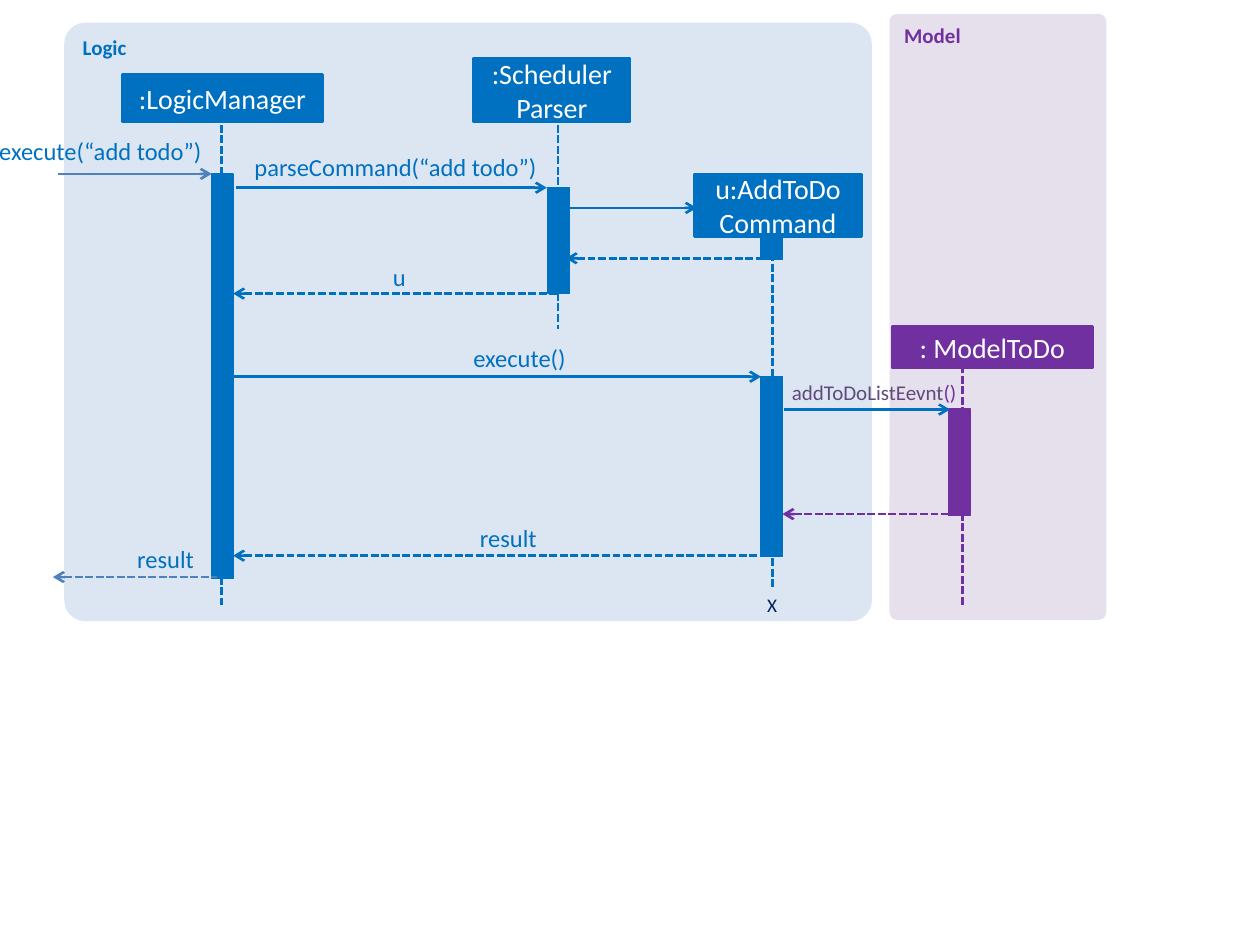
from lxml import etree
from pptx import Presentation
from pptx.dml.color import RGBColor
from pptx.enum import dml, shapes, text
from pptx.oxml import ns
from pptx.util import Inches, Pt

COLORS = {
    "logic": "0070C0", "logic_panel": "DCE6F2",
    "model": "7030A0", "model_panel": "E6E0EC",
    "caller": "4F81BD", "event": "604A7B", "end": "002060", "white": "FFFFFF",
}
BAR_WIDTH = 0.17

PANELS = [  # name, color, left, top, width, height
    ("Model", "model", 7.06, 0.11, 1.72, 4.81),
    ("Logic", "logic", 0.51, 0.18, 6.41, 4.75),
]
LIFELINES = [  # x, top, bottom, color
    (1.76, 0.99, 4.8, "logic"),
    (4.43, 0.99, 2.61, "logic"),
    (6.13, 1.76, 4.66, "logic"),
    (7.64, 2.9, 4.8, "model"),
]
ACTIVATIONS = [  # left, top, height, color
    (1.68, 1.38, 3.21, "logic"),
    (4.35, 1.49, 0.84, "logic"),
    (6.04, 1.76, 0.3, "logic"),
    (6.04, 2.99, 1.43, "logic"),
    (7.53, 3.24, 0.85, "model"),
]
CALLS = [  # left, right, y, color
    (0.46, 1.68, 1.38, "caller"),
    (1.87, 4.34, 1.49, "logic"),
    (4.52, 5.53, 1.65, "logic"),
    (1.85, 6.04, 2.99, "logic"),
    (6.22, 7.54, 3.25, "logic"),
]
REPLIES = [  # left, right, y, color
    (4.49, 6.13, 2.05, "logic"),
    (1.85, 4.42, 2.33, "logic"),
    (6.21, 7.62, 4.08, "model"),
    (1.85, 6.04, 4.41, "logic"),
    (0.42, 1.72, 4.58, "caller"),
]
OBJECTS = [  # name, color, left, top, width, height
    (":LogicManager", "logic", 0.97, 0.59, 1.59, 0.38),
    (":SchedulerParser", "logic", 3.76, 0.46, 1.24, 0.51),
    ("u:AddToDo\vCommand", "logic", 5.51, 1.38, 1.33, 0.5),
    (": ModelToDo", "model", 7.08, 2.59, 1.59, 0.33),
]
LABELS = [  # wording, left, top, width
    ("execute(“add todo”)", -0.33, 1.08, 1.93),
    ("parseCommand(“add todo”)", 1.65, 1.21, 2.61),
    ("u", 2.98, 2.08, 0.24),
    ("execute()", 3.55, 2.72, 0.94),
    ("result", 3.58, 4.15, 0.68),
    ("result", 0.71, 4.32, 0.83),
]


def rgb(name):
    return RGBColor.from_string(COLORS[name])


class SequenceDiagram:
    font = "Calibri"
    line_width = 1.5

    def __init__(self, slide):
        self.slide = slide

    def set_text(self, shape, runs, size, bold=False, align=text.PP_ALIGN.LEFT,
                 **frame_format):
        """Fill a shape with one paragraph of (wording, color) runs."""
        frame = shape.text_frame
        for name, value in {"word_wrap": True, **frame_format}.items():
            setattr(frame, name, value)
        paragraph = frame.paragraphs[0]
        paragraph.alignment = align
        for wording, color in runs:
            for index, line in enumerate(wording.split("\v")):
                if index:
                    paragraph.add_line_break()
                run = paragraph.add_run()
                run.text = line
                formats = {"name": self.font, "size": Pt(size), "bold": bold}
                for name, value in formats.items():
                    setattr(run.font, name, value)
                run.font.color.rgb = rgb(color)

    def box(self, kind, place, fill, line_width=None):
        shape = self.slide.shapes.add_shape(kind, *map(Inches, place))
        shape.shadow.inherit = False
        shape.fill.solid()
        shape.fill.fore_color.rgb = rgb(fill)
        if line_width:
            shape.line.color.rgb = rgb(fill)
            shape.line.width = Pt(line_width)
        else:
            shape.line.fill.background()
        return shape

    def panel(self, name, color, *place):
        shape = self.box(shapes.MSO_SHAPE.ROUNDED_RECTANGLE, place, color + "_panel")
        shape.adjustments[0] = 0.035
        self.set_text(shape, [(name, color)], 12, bold=True,
                      vertical_anchor=text.MSO_ANCHOR.TOP)

    def object(self, name, color, *place):
        shape = self.box(shapes.MSO_SHAPE.RECTANGLE, place, color, self.line_width)
        self.set_text(shape, [(name, "white")], 16, align=text.PP_ALIGN.CENTER,
                      vertical_anchor=text.MSO_ANCHOR.MIDDLE)

    def activation(self, left, top, height, color):
        self.box(shapes.MSO_SHAPE.RECTANGLE, (left, top, BAR_WIDTH, height), color, 0.75)

    def line(self, start, end, color, dashed=False, arrow=None):
        """Draw a line; arrow is headEnd (at start) or tailEnd (at end)."""
        connector = self.slide.shapes.add_connector(
            shapes.MSO_CONNECTOR.STRAIGHT, *map(Inches, (*start, *end)))
        connector.line.color.rgb = rgb(color)
        connector.line.width = Pt(self.line_width)
        if dashed:
            connector.line.dash_style = dml.MSO_LINE.SQUARE_DOT
        properties = connector._element.spPr
        if arrow:
            etree.SubElement(properties.find(ns.qn("a:ln")), ns.qn("a:" + arrow),
                             type="arrow")
        etree.SubElement(properties, ns.qn("a:effectLst"))

    def lifeline(self, x, top, bottom, color):
        self.line((x, top), (x, bottom), color, dashed=True)

    def call(self, left, right, y, color):
        self.line((left, y), (right, y), color, arrow="tailEnd")

    def reply(self, left, right, y, color):
        self.line((left, y), (right, y), color, dashed=True, arrow="headEnd")

    def text_box(self, place, runs, size, **formats):
        shape = self.slide.shapes.add_textbox(*map(Inches, place))
        self.set_text(shape, runs, size, **formats)

    def label(self, runs, left, top, width, height=0.24, size=14):
        margins = {"margin_" + side: 0 for side in ("left", "top", "right", "bottom")}
        self.text_box((left, top, width, height), runs, size,
                      align=text.PP_ALIGN.RIGHT, **margins)


def main():
    presentation = Presentation()
    presentation.slide_width, presentation.slide_height = Inches(10), Inches(7.5)
    slide = presentation.slides.add_slide(presentation.slide_layouts[6])
    diagram = SequenceDiagram(slide)

    for draw, rows in (
        (diagram.panel, PANELS),
        (diagram.lifeline, LIFELINES),
        (diagram.activation, ACTIVATIONS),
        (diagram.call, CALLS),
        (diagram.reply, REPLIES),
        (diagram.object, OBJECTS),
    ):
        for row in rows:
            draw(*row)

    for wording, *place in LABELS:
        diagram.label([(wording, "logic")], *place)
    diagram.label([("addToDoListEevnt", "event"), ("()", "model")],
                  6.17, 3.01, 1.42, height=0.2, size=12)
    diagram.text_box((5.99, 4.66, 0.28, 0.29), [("X", "end")], 11, word_wrap=False)

    presentation.save("out.pptx")


if __name__ == "__main__":
    main()
